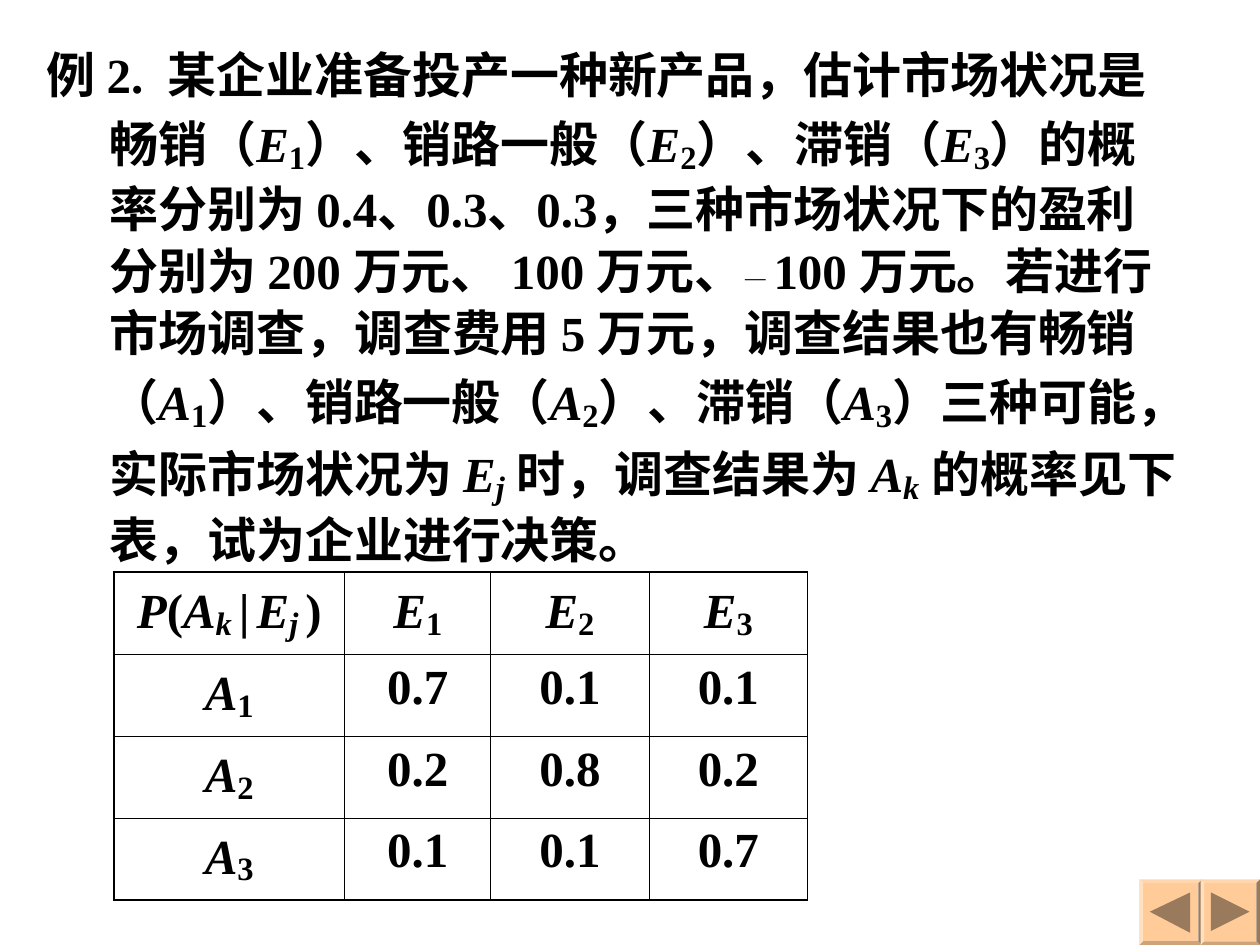
import pptx
import pptx.dml.color
import pptx.enum.shapes
import pptx.enum.text
import pptx.oxml
import pptx.oxml.ns
import pptx.util

Pt = pptx.util.Pt
RGBColor = pptx.dml.color.RGBColor
BLACK = RGBColor(0x00, 0x00, 0x00)
WHITE = RGBColor(0xFF, 0xFF, 0xFF)
PEACH = RGBColor(0xFF, 0xCC, 0x99)
BROWN = RGBColor(0x99, 0x7A, 0x5C)
SMALL_PIECES = {" ": 16, "— ": 14}


def add_spans(para, text):
    """Split text at * into runs; a piece like E_1 is an italic letter with a subscript."""
    for piece in text.split("*"):
        letter, mark, index = piece.partition("_")
        size = SMALL_PIECES.get(piece, 28)
        parts = [(letter, size, bool(mark), 0)]
        if index:
            parts.append((index, 32, index.isalpha(), -12000))
        for words, points, italic, baseline in parts:
            span = para.add_run()
            span.text = words
            span.font.name = "Times New Roman"
            span.font.size = Pt(points)
            span.font.bold = True
            span.font.italic = italic
            span.font.color.rgb = BLACK
            if baseline:
                span._r.get_or_add_rPr().set("baseline", str(baseline))


def add_border(cell, side, width):
    line = pptx.oxml.parse_xml(
        f'<a:ln{side} {pptx.oxml.ns.nsdecls("a")} w="{Pt(width)}">'
        f'<a:solidFill><a:srgbClr val="{BLACK}"/></a:solidFill></a:ln{side}>')
    cell._tc.get_or_add_tcPr().append(line)


deck = pptx.Presentation()
deck.slide_width = Pt(720)
deck.slide_height = Pt(540)
slide = deck.slides.add_slide(deck.slide_layouts[6])

# Problem statement with a hanging indent
box = slide.shapes.add_textbox(Pt(19.5), Pt(20), Pt(663), Pt(314.5))
frame = box.text_frame
frame.word_wrap = True
frame.auto_size = pptx.enum.text.MSO_AUTO_SIZE.SHAPE_TO_FIT_TEXT
para = frame.paragraphs[0]
para.line_spacing = 1.05
properties = para._p.get_or_add_pPr()
properties.set("marL", str(Pt(36)))
properties.set("indent", str(Pt(-36)))
add_spans(para, (
    "例 2.  某企业准备投产一种新产品，估计市场状况是畅销（*E_1*）、销路一般（*E_2*）、滞销（*E_3*"
    "）的概率分别为 0.4、0.3、0.3，三种市场状况下的盈利分别为 200 万元、 100 万元、*— *"
    "100 万元。若进行市场调查，调查费用 5 万元，调查结果也有畅销（*A_1*）、销路一般（*A_2*"
    "）、滞销（*A_3*）三种可能，实际市场状况为 *E_j* 时，调查结果为 *A_k"
    "* 的概率见下表，试为企业进行决策。"))

# Conditional probabilities
rows = [
    ["P_*(*A_k* *|* *E_j* *)", "E_1", "E_2", "E_3"],
    ["A_1", "0.7", "0.1", "0.1"],
    ["A_2", "0.2", "0.8", "0.2"],
    ["A_3", "0.1", "0.1", "0.7"],
]
column_widths = [132, 83.5, 90.5, 90.5]
row_height = 46.8
last = len(rows) - 1
table = slide.shapes.add_table(
    len(rows), len(column_widths), Pt(65), Pt(327),
    Pt(sum(column_widths)), Pt(row_height * len(rows))).table
for column, width in zip(table.columns, column_widths):
    column.width = Pt(width)
for r, row in enumerate(rows):
    table.rows[r].height = Pt(row_height)
    for c, text in enumerate(row):
        cell = table.cell(r, c)
        outer_sides = {"L": c == 0, "R": c == last, "T": r == 0, "B": r == last}
        for side, outer in outer_sides.items():
            add_border(cell, side, 1.08 if outer else 0.45)
        cell.fill.solid()
        cell.fill.fore_color.rgb = WHITE
        para = cell.text_frame.paragraphs[0]
        para.alignment = pptx.enum.text.PP_ALIGN.CENTER
        add_spans(para, text)

# Back and forward buttons: left, width, arrow corners
buttons = [
    (651, 36, [(657, 521.3), (680.5, 509.5), (680.5, 533)]),
    (686, 34, [(692, 510.3), (714, 521.3), (692, 532.3)]),
]
for left, width, corners in buttons:
    button = slide.shapes.add_shape(
        pptx.enum.shapes.MSO_SHAPE.BEVEL, Pt(left), Pt(502.5), Pt(width), Pt(37.5))
    button.adjustments[0] = 0.06
    builder = slide.shapes.build_freeform(*corners[0], scale=Pt(1))
    builder.add_line_segments(corners[1:], close=True)
    arrow = builder.convert_to_shape()
    for shape, colour in ((button, PEACH), (arrow, BROWN)):
        shape.shadow.inherit = False
        shape.fill.solid()
        shape.fill.fore_color.rgb = colour
        shape.line.fill.background()

deck.save("out.pptx")
